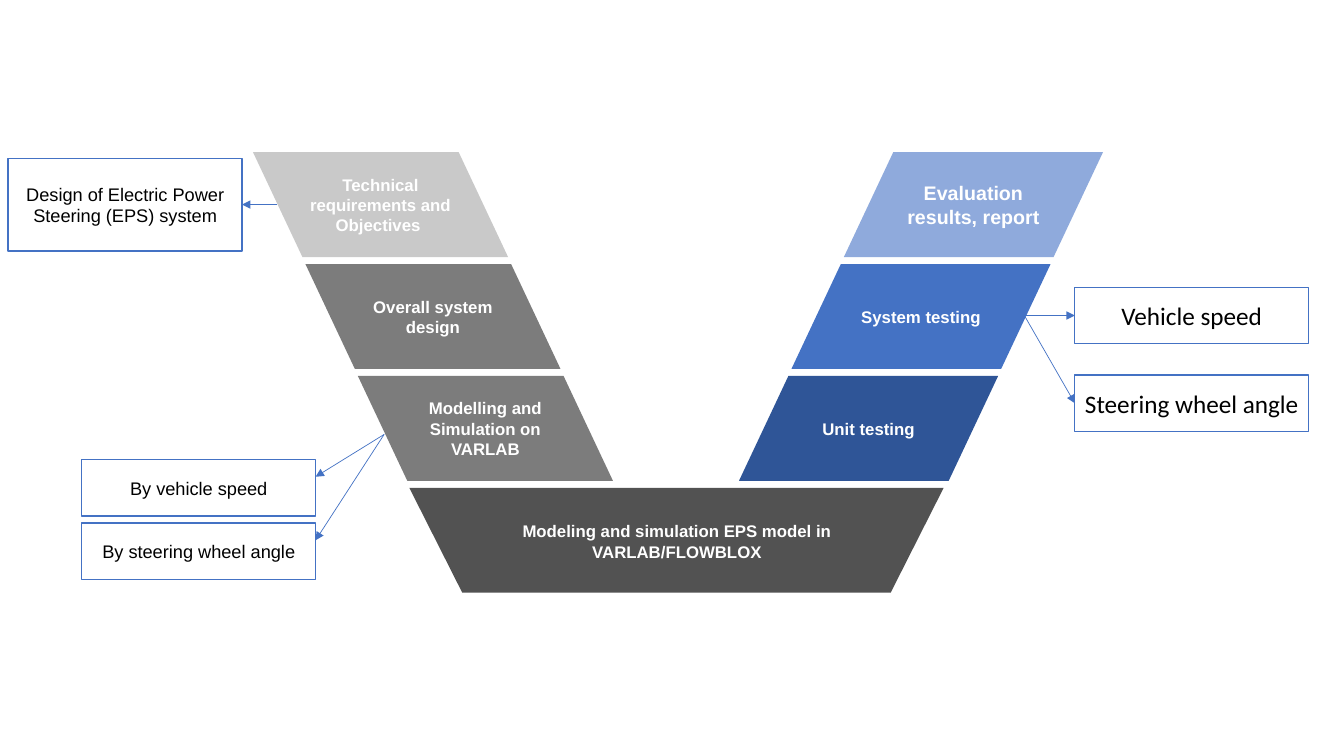
from lxml import etree
from pptx import Presentation
from pptx import util as u
from pptx.dml.color import RGBColor
from pptx.enum import shapes, text
from pptx.oxml.ns import qn

PX = 9144
BLUE = "4472C4"
KINDS = shapes.MSO_SHAPE

LEFT_STEPS = [
    ("Technical requirements and Objectives ", "C9C9C9", 12),
    ("Overall system design", "7C7C7C", 12),
    ("Modelling and Simulation on VARLAB", "7C7C7C", 12),
]
RIGHT_STEPS = [
    ("Evaluation results, report", "8FAADC", 14),
    ("System testing", BLUE, 12),
    ("Unit testing", "2F5597", 12),
]


def px(*lengths):
    return [u.Emu(round(length * PX)) for length in lengths]


def color(value):
    return RGBColor.from_string(value)


def write(shape, words, size, font="Arial", ink="FFFFFF", bold=False):
    frame = shape.text_frame
    frame.word_wrap = True
    frame.vertical_anchor = text.MSO_ANCHOR.MIDDLE
    para = frame.paragraphs[0]
    para.alignment = text.PP_ALIGN.CENTER
    span = para.add_run()
    span.text = words
    span.font.name = font
    span.font.size = u.Pt(size)
    span.font.bold = bold
    span.font.color.rgb = color(ink)


def add_block(page, kind, box, fill, outline=None, slant=None, flip=None):
    shape = page.shapes.add_shape(kind, *px(*box))
    shape.shadow.inherit = False
    shape.fill.solid()
    shape.fill.fore_color.rgb = color(fill)
    if outline:
        shape.line.color.rgb = color(outline)
        shape.line.width = u.Pt(1)
    else:
        shape.line.fill.background()
    if slant:
        shape.adjustments[0] = slant
    if flip:
        shape._element.spPr.find(qn("a:xfrm")).set(flip, "1")
    return shape


def add_arrow(page, start, end):
    arrow = page.shapes.add_connector(
        shapes.MSO_CONNECTOR.STRAIGHT, *px(*start, *end))
    arrow.line.color.rgb = color(BLUE)
    arrow.line.width = u.Pt(0.5)
    outline = arrow._element.spPr.find(qn("a:ln"))
    etree.SubElement(outline, qn("a:tailEnd"), type="triangle")
    etree.SubElement(arrow._element.spPr, qn("a:effectLst"))


def add_arm(page, box, steps, shift, flip=None):
    left, top, width, height = box
    pitch = 111
    for row, (words, fill, size) in enumerate(steps):
        place = (left + row * shift, top + row * pitch, width, height)
        step = add_block(page, KINDS.PARALLELOGRAM, place, fill, slant=0.471, flip=flip)
        write(step, words, size, bold=True)


def add_base(page, box):
    left, top, width, height = box
    add_block(page, KINDS.TRAPEZOID, box, "525252", slant=0.505, flip="flipV")
    label = page.shapes.add_textbox(*px(left + 77, top + 28, width - 153, height - 54))
    write(label, "Modeling and simulation EPS model in VARLAB/FLOWBLOX", 12, bold=True)


def add_callouts(page, box, pitch, labels, start, entry, size=13, font="Arial"):
    left, top, width, height = box
    side = left if start[0] < left else left + width
    for row, words in enumerate(labels):
        y = top + row * pitch
        callout = add_block(page, KINDS.RECTANGLE, (left, y, width, height), "FFFFFF", BLUE)
        write(callout, words, size, font, "000000")
        add_arrow(page, start, (side, y + entry))


def main():
    deck = Presentation()
    deck.slide_width, deck.slide_height = px(1333, 750)
    page = deck.slides.add_slide(deck.slide_layouts[6])
    add_arm(page, (837, 151, 257, 104), RIGHT_STEPS, -52)
    add_arm(page, (251, 151, 253, 104), LEFT_STEPS, 52, "flipH")
    add_base(page, (406, 484, 530, 104))
    add_callouts(page, (81, 456, 232, 56), 63,
                 ["By vehicle speed", "By steering wheel angle"], (381, 431), 17)
    add_callouts(page, (1066, 285, 232, 56), 87,
                 ["Vehicle speed", "Steering wheel angle"], (1016, 313), 28, 18, "Calibri")
    add_callouts(page, (8, 157, 232, 92), 0,
                 ["Design of Electric Power Steering (EPS) system"], (275, 203), 46)
    deck.save("out.pptx")


if __name__ == "__main__":
    main()
